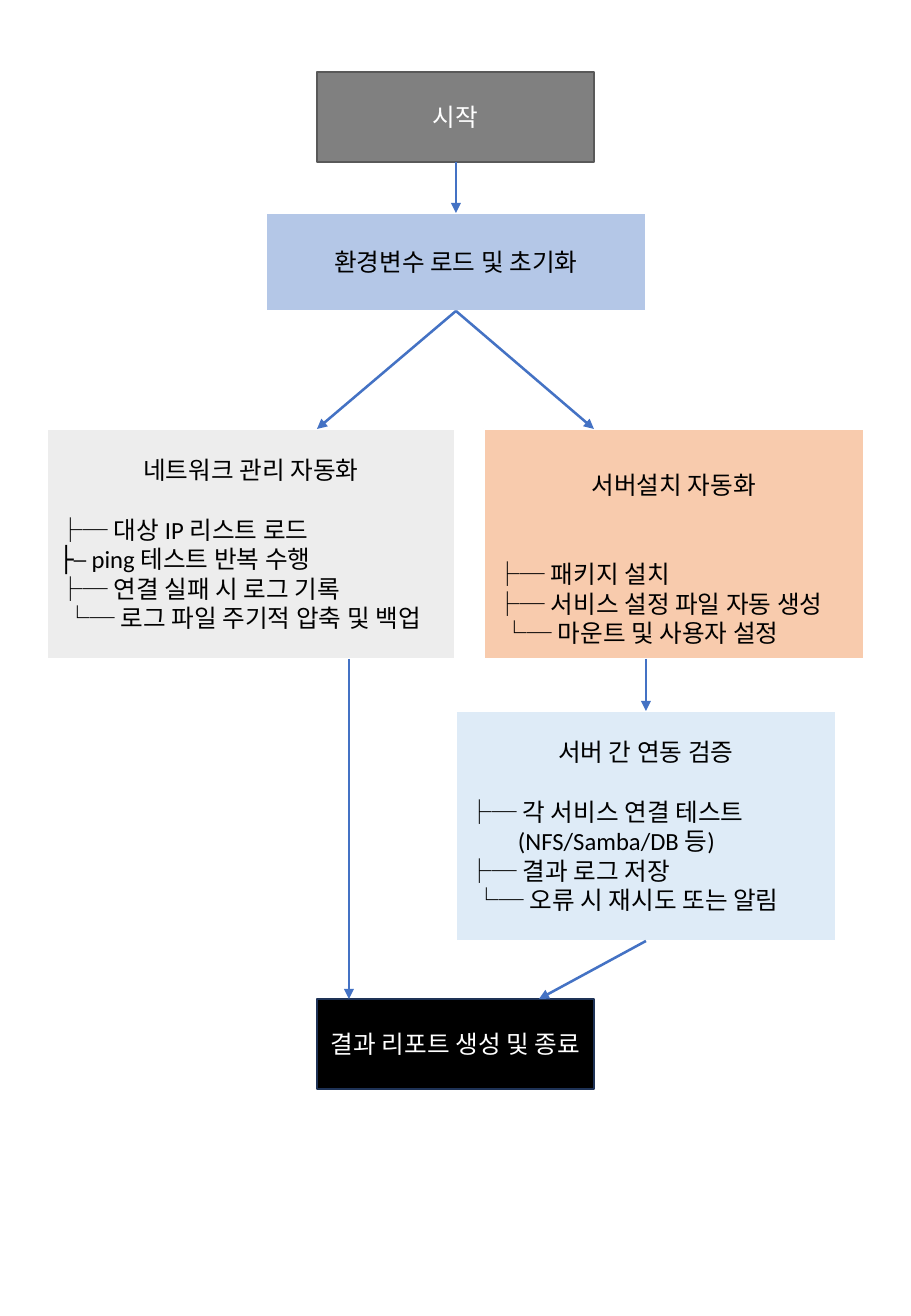
from pptx import Presentation, util as u
from pptx.dml.color import RGBColor
from pptx.enum import shapes, text
from pptx.oxml.ns import qn
from lxml import etree

PX = 914400 / 121.5
HUE = {
    "gray": "808080", "edge": "595959", "blue": "B4C7E7", "peach": "F8CBAD",
    "pale": "EDEDED", "sky": "DEEBF7", "navy": "1E3256", "arrow": "4472C4",
    "white": "FFFFFF", "black": "000000",
}


def px(*nums):
    return [u.Emu(round(n * PX)) for n in nums]


def write(par, words, hue="black", align=text.PP_ALIGN.CENTER, gap=0, dent=0):
    par.alignment = align
    par.space_before = u.Pt(gap)
    if dent:
        par._p.get_or_add_pPr().set("marL", str(px(dent)[0]))
    run = par.add_run()
    run.text = words
    run.font.name = "Calibri"
    run.font.size = u.Pt(14.6)
    run.font.color.rgb = RGBColor.from_string(HUE[hue])


deck = Presentation()
deck.slide_width, deck.slide_height = px(911, 1316)
slide = deck.slides.add_slide(deck.slide_layouts[6])

boxes = [
    ((317, 72, 277, 90), "gray", "edge", "white", "시작", 0, 0, []),
    ((266, 213, 380, 98), "blue", "white", "black", "환경변수 로드 및 초기화", 0, 0, []),
    ((484, 429, 380, 230), "peach", "white", "black", "서버설치 자동화", 30, 35, [
        ("├─ 패키지 설치", 0),
        ("├─ 서비스 설정 파일 자동 생성", 0),
        ("└─ 마운트 및 사용자 설정", 7)]),
    ((47, 429, 408, 230), "pale", "white", "black", "네트워크 관리 자동화", 0, 17.5, [
        ("├─ 대상 IP 리스트 로드", 0),
        ("├─ ping 테스트 반복 수행", 0),
        ("├─ 연결 실패 시 로그 기록", 0),
        ("└─ 로그 파일 주기적 압축 및 백업", 7)]),
    ((456, 711, 380, 230), "sky", "white", "black", "서버 간 연동 검증", 0, 17.5, [
        ("├─ 각 서비스 연결 테스트", 0),
        ("(NFS/Samba/DB 등)", 50),
        ("├─ 결과 로그 저장", 0),
        ("└─ 오류 시 재시도 또는 알림", 7)]),
    ((317, 999, 277, 90), "black", "navy", "white", "결과 리포트 생성 및 종료", 0, 0, []),
]
for place, fill, edge, ink, title, drop, gap, steps in boxes:
    box = slide.shapes.add_shape(shapes.MSO_SHAPE.RECTANGLE, *px(*place))
    box.shadow.inherit = False
    box.fill.solid()
    box.fill.fore_color.rgb = RGBColor.from_string(HUE[fill])
    box.line.color.rgb = RGBColor.from_string(HUE[edge])
    box.line.width = u.Pt(1)
    frame = box.text_frame
    frame.word_wrap = True
    frame.vertical_anchor = text.MSO_ANCHOR.MIDDLE
    frame.margin_top, frame.margin_bottom = px(6 + drop, 6)
    write(frame.paragraphs[0], title, hue=ink)
    for row, (step, dent) in enumerate(steps):
        write(frame.add_paragraph(), step, align=text.PP_ALIGN.LEFT,
              gap=0 if row else gap, dent=dent)

links = [
    (456, 162, 456, 213),
    (456, 311, 317, 429),
    (456, 311, 594, 429),
    (646, 659, 646, 711),
    (646, 941, 539, 999),
    (349, 659, 349, 999),
]
for ends in links:
    link = slide.shapes.add_connector(shapes.MSO_CONNECTOR.STRAIGHT, *px(*ends))
    link.line.color.rgb = RGBColor.from_string(HUE["arrow"])
    link.line.width = u.Pt(1.5)
    etree.SubElement(link.line._get_or_add_ln(), qn("a:tailEnd"), type="triangle")
    etree.SubElement(link._element.spPr, qn("a:effectLst"))

deck.save("out.pptx")
